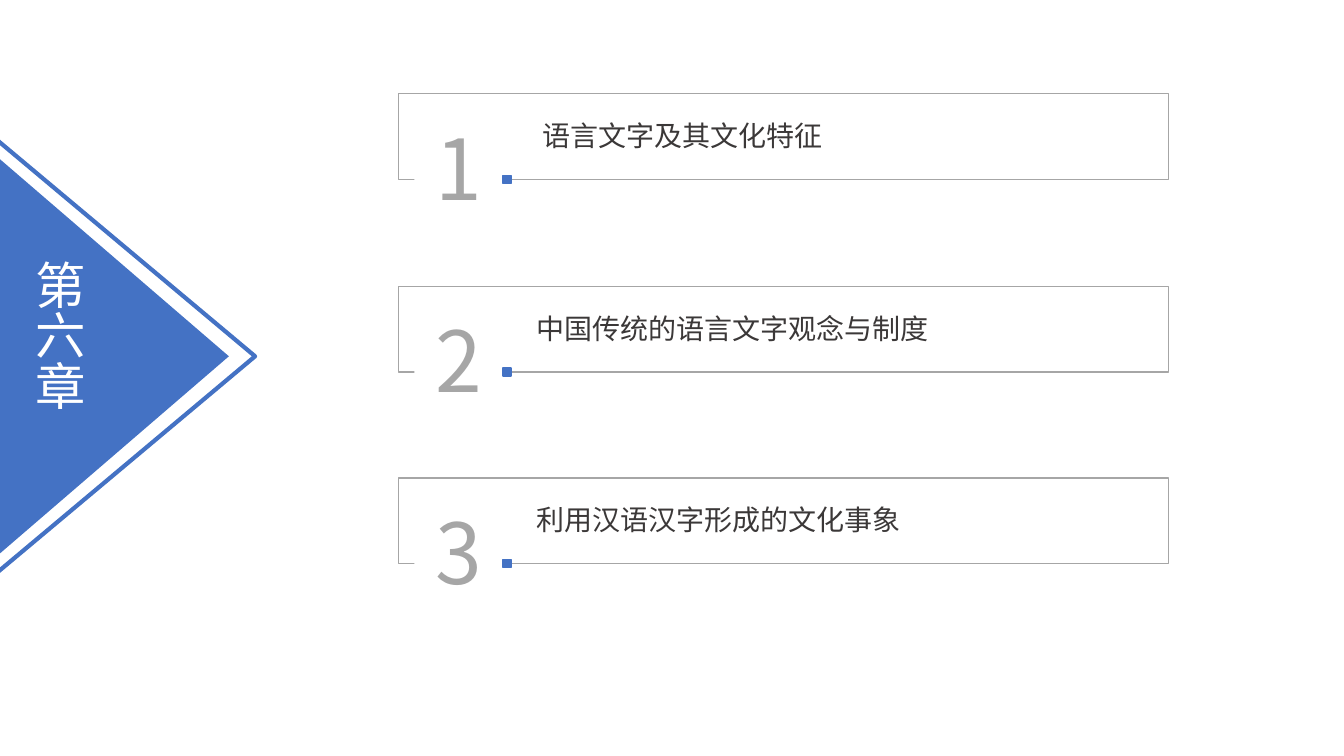
import pptx
import pptx.util
from pptx.dml.color import RGBColor
from pptx.enum.shapes import MSO_SHAPE
from pptx.enum.text import MSO_ANCHOR, MSO_AUTO_SIZE, PP_ALIGN
from pptx.oxml.ns import qn
from lxml import etree

PX = 9144
FONT = "Noto Sans CJK SC"
BLUE = RGBColor(0x44, 0x72, 0xC4)
GRAY = RGBColor(0xA6, 0xA6, 0xA6)
DARK = RGBColor(0x3B, 0x38, 0x38)
WHITE = RGBColor(0xFF, 0xFF, 0xFF)


def add_block(kind, left, top, width, height, fill=None, line=None, weight=1):
    block = page.shapes.add_shape(kind, left * PX, top * PX, width * PX, height * PX)
    block.shadow.inherit = False
    if fill is None:
        block.fill.background()
    else:
        block.fill.solid()
        block.fill.fore_color.rgb = fill
    if line is None:
        block.line.fill.background()
    else:
        block.line.color.rgb = line
        block.line.width = pptx.util.Pt(weight)
    return block


def write(box, text, size, color, align):
    para = box.text_frame.paragraphs[0]
    para.text = text
    para.alignment = align
    para.font.size = pptx.util.Pt(size)
    para.font.color.rgb = color
    para.font.name = FONT
    east_asian = etree.SubElement(para._p.pPr.find(qn("a:defRPr")), qn("a:ea"))
    east_asian.set("typeface", FONT)


deck = pptx.Presentation()
deck.slide_width = 1333 * PX
deck.slide_height = 750 * PX
page = deck.slides.add_slide(deck.slide_layouts[5])

arrow = add_block(MSO_SHAPE.ISOSCELES_TRIANGLE, -82, 240, 391, 227, fill=BLUE)
arrow.rotation = 90
outline = add_block(MSO_SHAPE.ISOSCELES_TRIANGLE, -91, 225, 431, 257, line=BLUE, weight=3)
outline.rotation = 90

chapter = page.shapes.title
page.shapes._spTree.append(chapter._element)
chapter.left, chapter.top, chapter.width, chapter.height = 17 * PX, 253 * PX, 81 * PX, 201 * PX
chapter.text_frame.auto_size = MSO_AUTO_SIZE.NONE
chapter.text_frame.vertical_anchor = MSO_ANCHOR.TOP
chapter.text_frame._txBody.bodyPr.set("vert", "eaVert")
write(chapter, "第六章", 36, WHITE, PP_ALIGN.CENTER)

sections = [
    ("语言文字及其文化特征", 308, 16),
    ("中国传统的语言文字观念与制度", 421, 10),
    ("利用汉语汉字形成的文化事象", 393, 10),
]
for index, (heading, width, indent) in enumerate(sections):
    top = 93 + (381 * index + 1) // 2
    add_block(MSO_SHAPE.RECTANGLE, 395, top, 764, 85, line=GRAY)
    number = add_block(MSO_SHAPE.RECTANGLE, 411, top + 17, 88, 111, fill=WHITE)
    number.text_frame.word_wrap = True
    write(number, str(index + 1), 60, GRAY, PP_ALIGN.CENTER)
    add_block(MSO_SHAPE.RECTANGLE, 499, top + 81, 8, 8, fill=BLUE, line=BLUE)
    label = page.shapes.add_textbox(522 * PX, (top + 20) * PX, width * PX, 44 * PX)
    label.text_frame.word_wrap = False
    label.text_frame.margin_left = indent * PX
    write(label, heading, 20, DARK, PP_ALIGN.LEFT)

deck.save("out.pptx")
